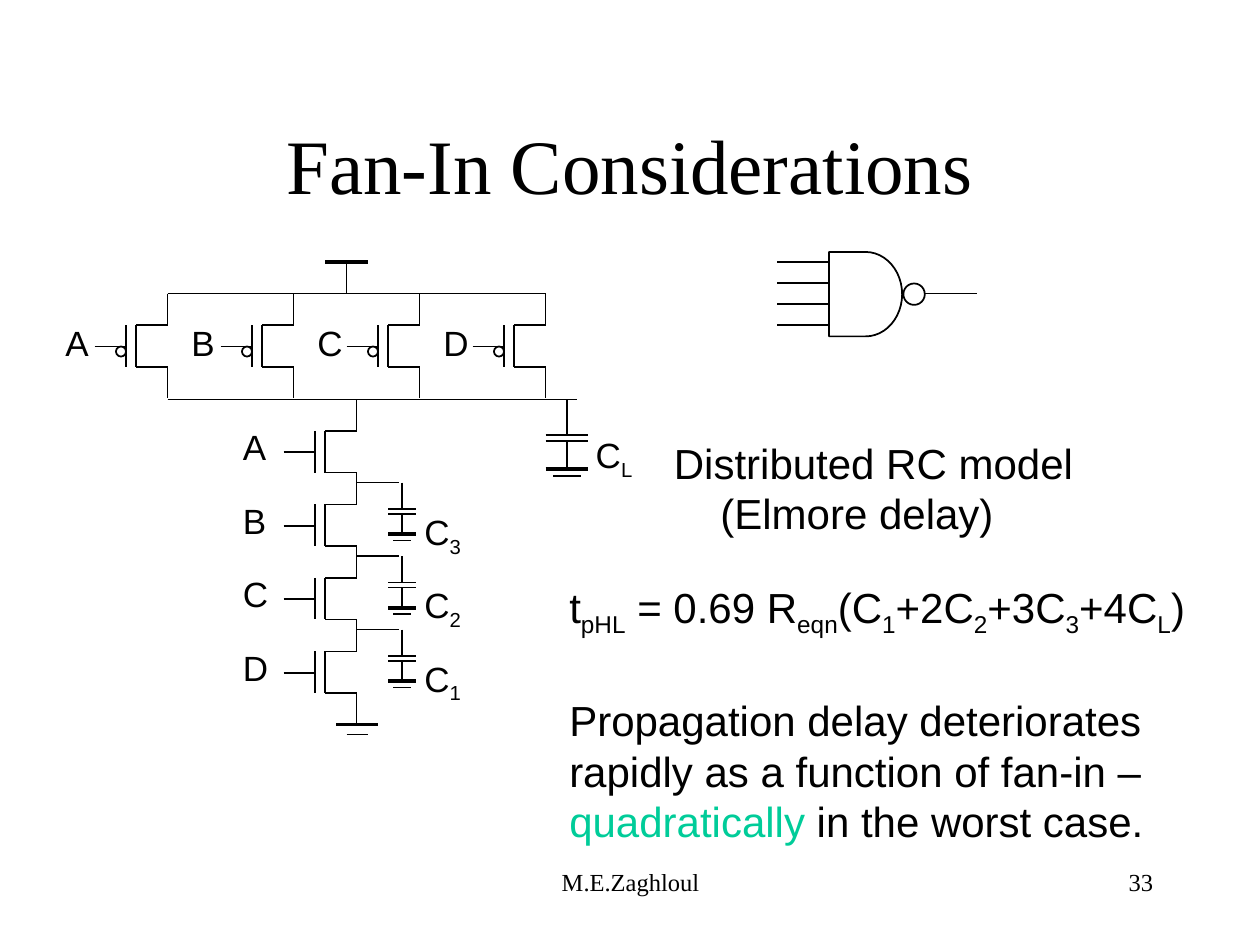
"""Builds the slide on fan-in of a four-input NAND gate."""
from lxml import etree
from pptx import Presentation
from pptx import util as u
from pptx.dml.color import RGBColor
from pptx.enum import shapes, text
from pptx.oxml.ns import qn

hue = RGBColor.from_string
inch = u.Inches
left, mid, right = text.PP_ALIGN.LEFT, text.PP_ALIGN.CENTER, text.PP_ALIGN.RIGHT

deck = Presentation()
deck.slide_width, deck.slide_height = inch(10), inch(7.5)
slide = deck.slides.add_slide(deck.slide_layouts[6])


def wire(x1, y1, x2, y2, width=1):
    line = slide.shapes.add_connector(
        shapes.MSO_CONNECTOR.STRAIGHT, inch(x1), inch(y1), inch(x2), inch(y2))
    line.line.color.rgb = hue("000000")
    line.line.width = u.Pt(width)
    etree.SubElement(line._element.spPr, qn("a:effectLst"))


def write(x, y, w, h, paras, size=20, face="Arial", align=left):
    """Fill a text box; a bar switches to and from subscript."""
    box = slide.shapes.add_textbox(inch(x), inch(y), inch(w), inch(h))
    frame = box.text_frame
    frame.word_wrap = True
    for i, words in enumerate(paras):
        para = frame.paragraphs[0] if i == 0 else frame.add_paragraph()
        para.alignment = align
        for j, part in enumerate(words.split("|")):
            run = para.add_run()
            run.text = part
            run.font.size, run.font.name = u.Pt(size), face
            run.font.color.rgb = hue("000000")
            if j % 2:
                run.font._element.set("baseline", "-25000")
    return frame


serif = "Times New Roman"
title = write(0.75, 0.67, 8.5, 1.25, ["Fan-In Considerations"], 44, serif, mid)
title.vertical_anchor = text.MSO_ANCHOR.MIDDLE
write(3.42, 6.83, 3.17, 0.5, ["M.E.Zaghloul"], 14, serif, mid)
write(7.17, 6.83, 2.08, 0.5, ["33"], 14, serif, right)

step = 7 / 12
pull = [(1.33 + i, 2.58) for i in range(4)]
stack = [(2.83, 3.42 + i * step) for i in range(4)]
for x, y in pull + stack:
    wire(x - 0.25, y, x, y)
    wire(x - 0.25, y, x - 0.25, y + 0.33)
    wire(x - 0.25, y + 0.33, x, y + 0.33)
    wire(x - 0.33, y, x - 0.33, y + 0.33)
    wire(x, y + 0.33, x, y + 0.58)
    wire(x - 0.58, y + 0.17, x - 0.33, y + 0.17)

for name, (x, y), (low, down) in zip("ABCD", pull, stack):
    wire(x, y - 0.25, x, y)
    write(x - 0.91, y - 0.08, 0.5, 0.44, [name])
    write(low - 1, down - 0.09, 0.5, 0.44, [name])

wire(1.33, 2.33, 4.33, 2.33)
wire(2.75, 2.08, 2.75, 2.33)
wire(2.58, 2.08, 2.92, 2.08, 2.25)
wire(1.33, 3.17, 4.58, 3.17)
wire(2.83, 3.17, 2.83, 3.42)
wire(2.67, 5.75, 3, 5.75, 2.25)
wire(2.75, 5.83, 2.92, 5.83)

small = (0.11, 0.07, 0.21, 0.25, 0.41, 0.46, 0.08, 0.17)
caps = [("L", 4.5, 3.17, (0.17, 0.11, 0.28, 0.33, 0.55, 0.61, 0.13, 0.22))]
for i, name in enumerate("321"):
    y = 3.83 + i * step
    wire(2.83, y, 3.17, y)
    caps.append((name, 3.19, y, small))
for name, x, y, (half, foot, top, base, earth, tip, dx, dy) in caps:
    wire(x, y, x, y + top)
    wire(x - half, y + top, x + half, y + top)
    wire(x - half, y + base, x + half, y + base)
    wire(x, y + base, x, y + earth)
    wire(x - half, y + earth, x + half, y + earth, 2.25)
    wire(x - foot, y + tip, x + foot, y + tip)
    write(x + dx, y + dy, 0.6, 0.48, [f"C|{name}"])

oval = shapes.MSO_SHAPE.OVAL
gate = [(shapes.MSO_SHAPE.FLOWCHART_DELAY, 6.58, 2, 0.58, 0.67),
        (oval, 7.17, 2.25, 0.17, 0.17)]
dots = [(oval, x - 0.41, y + 0.17, 0.08, 0.08) for x, y in pull]
for kind, x, y, w, h in gate + dots:
    part = slide.shapes.add_shape(kind, inch(x), inch(y), inch(w), inch(h))
    part.shadow.inherit = False
    part.fill.background()
    part.line.color.rgb = hue("000000")
    part.line.width = u.Pt(1)
for i in range(4):
    y = 2.08 + i / 6
    wire(6.17, y, 6.58, y)
wire(7.33, 2.33, 7.75, 2.33)

notes = write(4.42, 3.42, 5.33, 3.36, [
    "Distributed RC model",
    "(Elmore delay)",
    "t|pHL| = 0.69 R|eqn|(C|1|+2C|2|+3C|3|+4C|L|)",
    "Propagation delay deteriorates rapidly as a function of fan-in – ",
], 24)
model, delay, sums, claim = notes.paragraphs
for words, tint in (("quadratically", "00CC99"), (" in the worst case.", "000000")):
    run = claim.add_run()
    run.text = words
    run.font.size, run.font.name = u.Pt(24), "Arial"
    run.font.color.rgb = hue(tint)
for para in notes.paragraphs:
    para.line_spacing = u.Pt(28.8)
for para, dent in ((model, 0.83), (delay, 1.2)):
    para._p.get_or_add_pPr().set("marL", str(inch(dent)))
sums.space_before = u.Pt(28.8)
claim.space_before = u.Pt(32)

deck.save("out.pptx")
